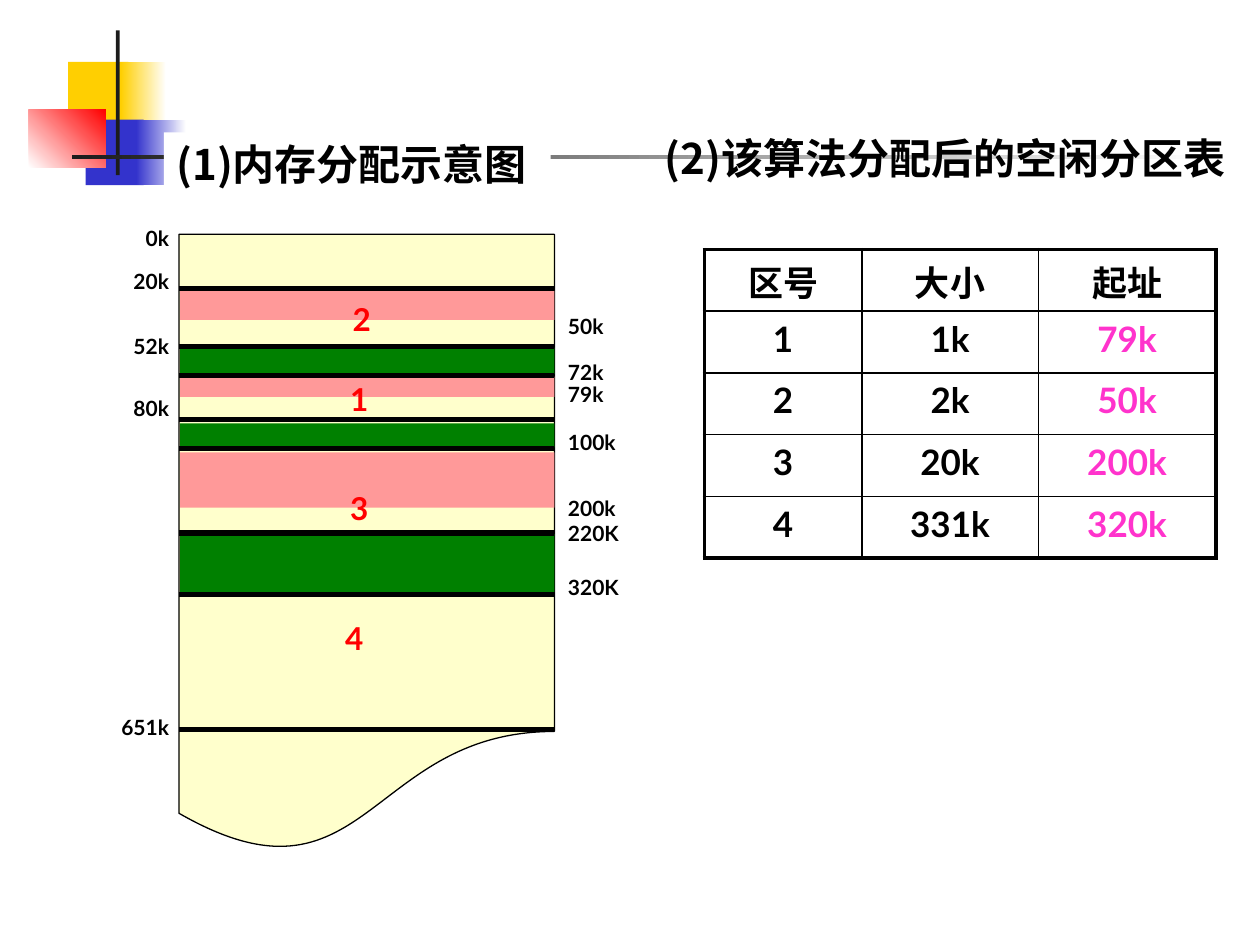
from dataclasses import dataclass

from lxml import etree
from pptx import Presentation
from pptx.dml.color import RGBColor
from pptx.enum.shapes import MSO_CONNECTOR, MSO_SHAPE
from pptx.enum.text import MSO_ANCHOR, MSO_AUTO_SIZE, PP_ALIGN
from pptx.oxml.ns import qn
from pptx.util import Inches, Pt

RECT, WAVY_SHEET = MSO_SHAPE.RECTANGLE, MSO_SHAPE.FLOWCHART_DOCUMENT
STRAIGHT = MSO_CONNECTOR.STRAIGHT
LEFT, CENTER, RIGHT = PP_ALIGN.LEFT, PP_ALIGN.CENTER, PP_ALIGN.RIGHT
TOP, MIDDLE = MSO_ANCHOR.TOP, MSO_ANCHOR.MIDDLE
TITLE_ONLY = 5
COLUMNS, ROWS = 100, 75  # grid of the slide


@dataclass(frozen=True)
class Theme:
    latin: str = "Lato"
    chinese: str = "Noto Sans CJK SC"
    ink: str = "000000"
    paper: str = "FFFFFF"
    bar: str = "1C1C1C"
    gold: str = "FFCF01"
    blue: str = "3333CC"
    red: str = "FF0000"
    memory: str = "FFFFCC"
    in_use: str = "008000"
    allocated: str = "FF9999"
    address: str = "FF33CC"
    heading_size: int = 24
    table_size: int = 20
    zone_size: int = 18
    label_size: int = 12
    outline: float = 0.75
    inner_border: float = 1
    outer_border: float = 2.25
    boundary: float = 3


class SlideBuilder:
    def __init__(self, prs, theme):
        self.theme = theme
        self.slide = prs.slides.add_slide(prs.slide_layouts[TITLE_ONLY])
        self.shapes = self.slide.shapes
        self.column = prs.slide_width / COLUMNS
        self.row = prs.slide_height / ROWS

    def place(self, left, top, width, height):
        """Turn grid columns and rows into slide lengths."""
        return (round(left * self.column), round(top * self.row),
                round(width * self.column), round(height * self.row))

    def set_text(self, frame, text, size, color, align, font=None):
        frame.text = text
        paragraph = frame.paragraphs[0]
        paragraph.alignment = align
        for run in paragraph.runs:
            run.font.size, run.font.bold = Pt(size), True
            run.font.name = font or self.theme.latin
            run.font.color.rgb = RGBColor.from_string(color)
            east_asian = etree.SubElement(run.font._element, qn("a:ea"))
            east_asian.set("typeface", self.theme.chinese)

    def block(self, area, color, fade_to=None, angle=0, preset=RECT, outline=None):
        shape = self.shapes.add_shape(preset, *self.place(*area))
        shape.shadow.inherit = False
        if fade_to:
            shape.fill.gradient()
            shape.fill.gradient_angle = angle
            for stop, stop_color in zip(shape.fill.gradient_stops, (color, fade_to)):
                stop.color.rgb = RGBColor.from_string(stop_color)
        else:
            shape.fill.solid()
            shape.fill.fore_color.rgb = RGBColor.from_string(color)
        if outline:
            shape.line.color.rgb = RGBColor.from_string(self.theme.ink)
            shape.line.width = Pt(outline)
        else:
            shape.line.fill.background()

    def boundary(self, left, right, y):
        x1, y1, x2, y2 = self.place(left, y, right, y)
        line = self.shapes.add_connector(STRAIGHT, x1, y1, x2, y2)
        line.line.color.rgb = RGBColor.from_string(self.theme.ink)
        line.line.width = Pt(self.theme.boundary)
        etree.SubElement(line._element.spPr, qn("a:effectLst"))

    def text(self, area, text, size, color, align, font=None, anchor=MIDDLE):
        frame = self.shapes.add_textbox(*self.place(*area)).text_frame
        frame.word_wrap = True
        frame.vertical_anchor = anchor
        self.set_text(frame, text, size, color, align, font)

    def title(self, area, text):
        title = self.shapes.title
        title.left, title.top, title.width, title.height = self.place(*area)
        title.fill.solid()
        title.fill.fore_color.rgb = RGBColor.from_string(self.theme.paper)
        frame = title.text_frame
        frame.auto_size = MSO_AUTO_SIZE.NONE
        frame.vertical_anchor = TOP
        self.set_text(frame, text, self.theme.heading_size, self.theme.ink, LEFT,
                      self.theme.chinese)
        # The white title covers part of the ornament, so it goes in front.
        self.shapes._spTree.append(title._element)

    def border(self, cell, side, width):
        line = etree.SubElement(cell._tc.get_or_add_tcPr(), qn(f"a:ln{side}"),
                                w=str(Pt(width)))
        fill = etree.SubElement(line, qn("a:solidFill"))
        etree.SubElement(fill, qn("a:srgbClr"), val=self.theme.ink)

    def table(self, area, records, column_widths):
        theme = self.theme
        last_row, last_column = len(records) - 1, len(column_widths) - 1
        table = self.shapes.add_table(len(records), len(column_widths),
                                      *self.place(*area)).table
        table.first_row = table.horz_banding = False
        for column, width in zip(table.columns, column_widths):
            column.width = round(width * self.column)
        for r, record in enumerate(records):
            for c, value in enumerate(record):
                cell = table.cell(r, c)
                is_address = r > 0 and c == last_column
                self.set_text(cell.text_frame, value, theme.table_size,
                              theme.address if is_address else theme.ink, CENTER)
                edges = {"L": c == 0, "R": c == last_column,
                         "T": r == 0, "B": r == last_row}
                for side, is_outer in edges.items():
                    self.border(cell, side, theme.outer_border if is_outer
                                else theme.inner_border)
                cell.fill.background()


def draw_ornament(page):
    theme = page.theme
    page.block((5.4, 4.9, 4.8, 5.2), theme.gold)
    page.block((9.6, 4.9, 3.6, 5.2), theme.gold, theme.paper)
    page.block((6.8, 9.5, 4.6, 5.2), theme.blue)
    page.block((10.8, 9.5, 4, 5.2), theme.blue, theme.paper)
    page.block((2.3, 8.7, 6.1, 4.6), theme.paper, theme.red, angle=45)
    page.block((9.2, 2.4, 0.3, 11.5), theme.bar)
    page.block((5.7, 12.3, 90, 0.3), theme.bar, theme.paper)


def draw_memory(page):
    theme = page.theme
    left, width = 14.2, 29.8
    page.block((left, 18.6, width, 49.2), theme.memory,
               preset=WAVY_SHEET, outline=theme.outline)

    in_use = [(27.6, 2.1), (33.6, 1.9), (42.4, 4.6)]
    allocated = [(23.1, 2.3), (29.9, 1.6), (35.9, 4.4)]
    for color, spans in ((theme.in_use, in_use), (theme.allocated, allocated)):
        for top, height in spans:
            page.block((left + 0.1, top, width - 0.1, height), color)
    for y in (22.9, 27.5, 29.8, 33.3, 35.6, 42.3, 47.2, 57.9):
        page.boundary(left, left + width, y)

    label_height = 3
    start_labels = {"0k": 18.9, "20k": 22.3, "52k": 27.5, "80k": 32.4, "651k": 57.7}
    end_labels = {"50k": 25.9, "72k": 29.5, "79k": 31.3, "100k": 35.1,
                  "200k": 40.3, "220K": 42.3, "320K": 46.6}
    for x, align, labels in ((5.4, RIGHT, start_labels), (44.1, LEFT, end_labels)):
        for label, middle in labels.items():
            page.text((x, middle - label_height / 2, 9, label_height), label,
                      theme.label_size, theme.ink, align)

    for zone, x, y in (("1", 26.8, 29.7), ("2", 27, 23.3),
                       ("3", 26.8, 38.3), ("4", 26.4, 48.6)):
        page.text((x, y, 3.6, 4), zone, theme.zone_size, theme.red, LEFT)


def main():
    prs = Presentation()
    prs.slide_width, prs.slide_height = Inches(10), Inches(7.5)
    theme = Theme()
    page = SlideBuilder(prs, theme)

    draw_ornament(page)
    page.title((13, 10.5, 30.7, 5), "(1)内存分配示意图")
    page.text((50, 10, 50, 5), "(2)该算法分配后的空闲分区表", theme.heading_size,
              theme.ink, CENTER, theme.chinese, TOP)
    draw_memory(page)
    free_zones = [("区号", "大小", "起址"),
                  ("1", "1k", "79k"),
                  ("2", "2k", "50k"),
                  ("3", "20k", "200k"),
                  ("4", "331k", "320k")]
    page.table((55.9, 19.8, 40.6, 24.5), free_zones, (12.5, 14, 14.1))

    prs.save("out.pptx")


if __name__ == "__main__":
    main()
